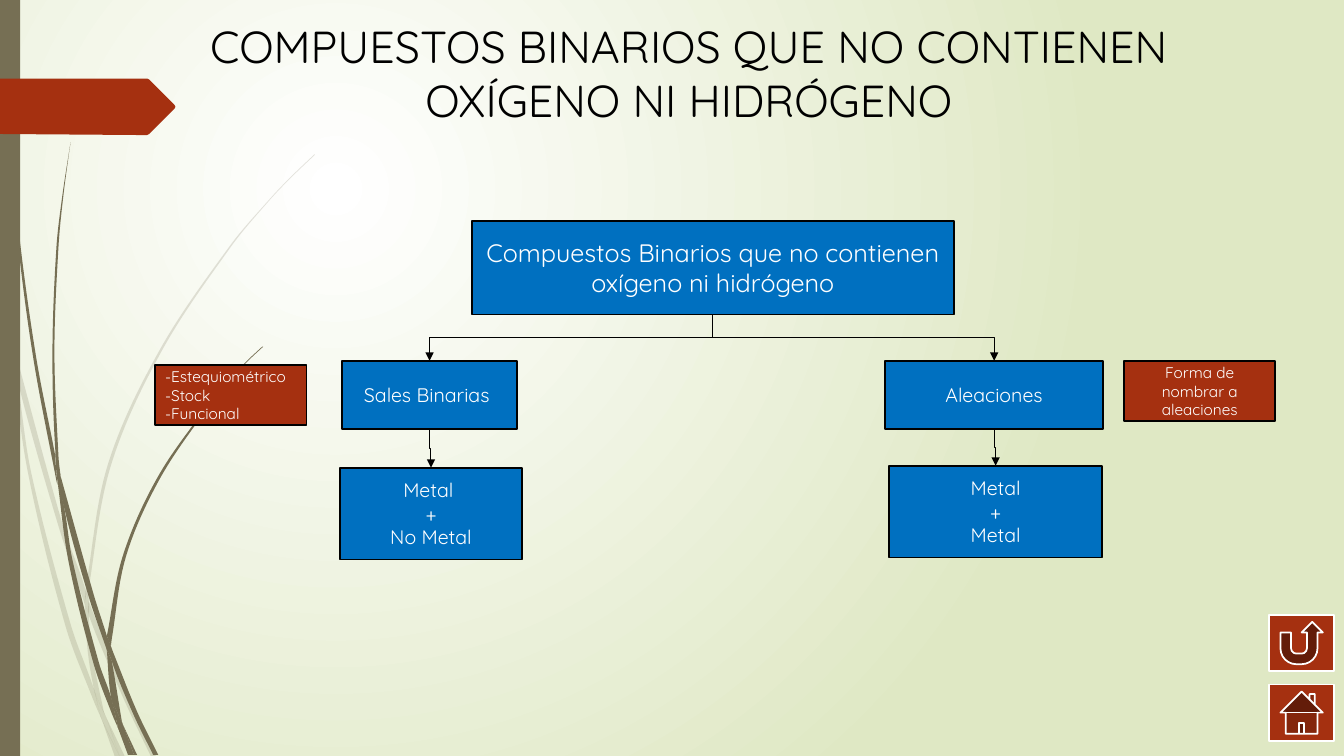
from math import dist

from lxml.etree import SubElement
from pptx import Presentation
from pptx.dml.color import RGBColor
from pptx.enum.shapes import MSO_CONNECTOR as Connector, MSO_SHAPE as Shape
from pptx.enum.text import MSO_ANCHOR as Anchor, MSO_AUTO_SIZE as AutoSize, PP_ALIGN as Align
from pptx.oxml.ns import qn
from pptx.util import Emu, Pt

# Content: boxes as (left, top, width, height), in px of 1/100 inch
SLIDE_SIZE = (1333, 750)
TITLE = "COMPUESTOS BINARIOS QUE NO CONTIENEN OXÍGENO NI HIDRÓGENO"
TITLE_BOX = (154, 14, 1059, 192)

# name: (box, fill, text size, alignment, paragraphs)
BOXES = {
    "root": ((468, 219, 478, 93), "blue", "root", Align.CENTER,
             ["Compuestos Binarios que no contienen oxígeno ni hidrógeno"]),
    "salts": ((339, 358, 174, 68), "blue", "node", Align.CENTER, ["Sales Binarias "]),
    "alloys": ((878, 358, 216, 68), "blue", "node", Align.CENTER, ["Aleaciones"]),
    "salt parts": ((337, 464, 181, 91), "blue", "node", Align.CENTER,
                   ["Metal ", "+", "No Metal"]),
    "alloy parts": ((882, 462, 211, 91), "blue", "node", Align.CENTER,
                    ["Metal", "+", "Metal"]),
    "salt names": ((154, 362, 150, 60), "red", "note", Align.LEFT,
                   ["-Estequiométrico", "-Stock", "-Funcional"]),
    "alloy names": ((1115, 358, 150, 60), "red", "note", Align.CENTER,
                    ["Forma de nombrar a aleaciones"]),
}
LINKS = [("root", "alloys"), ("root", "salts"),
         ("salts", "salt parts"), ("alloys", "alloy parts")]
BUTTONS = [(Shape.ACTION_BUTTON_HOME, (1259, 679, 64, 56)),
           (Shape.ACTION_BUTTON_RETURN, (1259, 610, 64, 56))]
SIDE_BAR = (0, 0, 20, 750)
TAG = [(173, 108), (148, 133), (146, 134), (136, 134), (0, 133), (0, 78), (136, 78),
       (146, 78), (148, 79), (173, 104), (174, 106)]

# Outlines of the grass pieces, as the nodes of closed curves
PALE_GRASS = [
    [(11, 350), (9, 322), (0, 282), (0, 299), (10, 344)],
    [(58, 522), (84, 599), (85, 586), (62, 520), (14, 345), (17, 376)],
    [(92, 607), (88, 596), (88, 610), (123, 694), (150, 751), (155, 751), (127, 692)],
    [(119, 751), (124, 751), (105, 711)],
    [(93, 683), (70, 619), (31, 469), (17, 376), (11, 350), (28, 470), (65, 621),
     (92, 693), (101, 714), (99, 707)],
    [(84, 599), (87, 646), (93, 683), (96, 692), (105, 711), (103, 706), (91, 646),
     (88, 610), (88, 608)],
    [(88, 584), (110, 462), (160, 349), (229, 245), (268, 198), (290, 175), (312, 154),
     (312, 153), (289, 175), (268, 197), (228, 244), (158, 348), (107, 461), (85, 584),
     (85, 586), (88, 596)],
    [(101, 714), (114, 751), (119, 751)],
    [(88, 608), (88, 610), (88, 596), (85, 586), (84, 599)],
    [(96, 692), (93, 683), (99, 707), (101, 714), (119, 751), (105, 711)],
]
DARK_GRASS = [
    [(7, 110), (17, 233), (33, 355), (56, 477), (57, 481), (55, 457), (55, 453),
     (36, 355), (19, 232), (8, 109), (5, 48), (4, 0), (3, 0), (4, 48)],
    [(88, 592), (106, 645), (106, 633), (106, 631), (93, 590), (60, 472), (64, 505)],
    [(113, 649), (110, 641), (111, 656), (132, 708), (152, 749), (157, 749), (136, 706)],
    [(110, 691), (98, 657), (72, 556), (64, 505), (57, 477), (68, 557), (93, 659),
     (111, 708), (117, 722), (116, 717)],
    [(60, 472), (58, 453), (54, 349), (58, 245), (63, 193), (70, 141), (62, 193),
     (56, 245), (52, 349), (55, 449)],
    [(133, 749), (136, 749), (122, 719)],
    [(57, 477), (64, 505), (60, 472), (55, 449), (55, 453)],
    [(111, 633), (125, 552), (158, 476), (205, 406), (231, 374), (245, 359), (261, 344),
     (260, 344), (245, 358), (231, 373), (204, 405), (156, 474), (122, 551), (106, 631),
     (110, 641)],
    [(117, 722), (127, 749), (131, 749)],
    [(106, 645), (110, 691), (116, 706), (122, 719), (121, 716), (111, 656), (109, 651)],
    [(106, 645), (109, 651), (111, 656), (110, 641), (106, 631), (106, 633)],
    [(116, 706), (110, 691), (116, 717), (117, 722), (130, 749), (133, 749), (122, 719)],
]


class Theme:
    font = "Quicksand"
    colors = {"blue": "0070C0", "red": "A53010", "grass": "766F54", "black": "000000",
              "white": "FFFFFF", "green": "DFE8C4"}
    sizes = {"title": 32, "root": 18, "node": 14, "note": 11}
    outline, link = Pt(1.25), Pt(0.75)
    pale_alpha = 20000


def px(value):
    return Emu(round(value * 9144))


def color(name):
    return RGBColor.from_string(Theme.colors[name])


def paint(shape, fill, line=None):
    shape.shadow.inherit = False
    shape.fill.solid()
    shape.fill.fore_color.rgb = color(fill)
    if line:
        shape.line.color.rgb = color(line)
        shape.line.width = Theme.outline
    else:
        shape.line.fill.background()


def add_box(slide, kind, box, fill, line=None):
    shape = slide.shapes.add_shape(kind, *map(px, box))
    paint(shape, fill, line)


def write(frame, paragraphs, size, text_color, align, anchor):
    frame.word_wrap = True
    frame.auto_size = AutoSize.NONE
    frame.vertical_anchor = anchor
    for index, text in enumerate(paragraphs):
        paragraph = frame.add_paragraph() if index else frame.paragraphs[0]
        paragraph.alignment = align
        run = paragraph.add_run()
        run.text = text
        run.font.name = Theme.font
        run.font.size = Pt(Theme.sizes[size])
        run.font.color.rgb = color(text_color)


def add_outline(shapes, points, fill):
    outline = [(px(x), px(y)) for x, y in points]
    builder = shapes.build_freeform(*outline[0], scale=1.0)
    builder.add_line_segments(outline[1:], close=True)
    shape = builder.convert_to_shape()
    paint(shape, fill)
    return shape


def direction(start, end):
    length = dist(start, end)
    return (end[0] - start[0]) / length, (end[1] - start[1]) / length


def handle(before, node, after, toward):
    """Control point a third of the way to toward; sharp corners stay sharp."""
    (ax, ay), (bx, by) = direction(before, node), direction(node, after)
    if ax * bx + ay * by > 0.9:
        ux, uy = direction(before, after)
    else:
        ux, uy = (bx, by) if toward == after else (ax, ay)
    reach = dist(node, toward) / 3 * (1 if toward == after else -1)
    return node[0] + ux * reach, node[1] + uy * reach


def add_grass(slide, pieces, alpha=None):
    group = slide.shapes.add_group_shape()
    for nodes in pieces:
        count = len(nodes)
        points = [nodes[0]]
        for i in range(count):
            before, start, end, after = (nodes[(i + k) % count] for k in (-1, 0, 1, 2))
            points += [handle(before, start, end, end), handle(start, end, after, start), end]
        piece = add_outline(group.shapes, points, "grass")
        # Each three line ends become one curve
        lines = list(piece._element.iter(qn("a:lnTo")))
        for first, second, third in zip(lines[::3], lines[1::3], lines[2::3]):
            first.tag = qn("a:cubicBezTo")
            for line in (second, third):
                first.append(line[0])
                line.getparent().remove(line)
        if alpha:
            fill_color = piece._element.spPr.find(qn("a:solidFill"))[0]
            SubElement(fill_color, qn("a:alpha")).set("val", str(alpha))


def add_link(slide, upper, lower):
    """Vertical elbow arrow: a horizontal elbow turned by a quarter."""
    x0, y0 = upper[0] + upper[2] / 2, upper[1] + upper[3]
    x1, y1 = lower[0] + lower[2] / 2, lower[1]
    middle_x, middle_y = (x0 + x1) / 2, (y0 + y1) / 2
    half_width, half_height = (y1 - y0) / 2, abs(x1 - x0) / 2
    side = 1 if x1 > x0 else -1
    link = slide.shapes.add_connector(
        Connector.ELBOW, px(middle_x + side * half_width), px(middle_y - half_height),
        px(middle_x - side * half_width), px(middle_y + half_height))
    link.line.color.rgb = color("black")
    link.line.width = Theme.link
    properties = link._element.spPr
    properties.find(qn("a:xfrm")).set("rot", "16200000" if side > 0 else "5400000")
    SubElement(properties.find(qn("a:ln")), qn("a:tailEnd")).set("type", "triangle")
    SubElement(properties, qn("a:effectLst"))


def fill_background(slide):
    fill = slide.background.fill
    fill.gradient()
    for stop, position, name in zip(fill.gradient_stops, (0, 1), ("white", "green")):
        stop.position = position
        stop.color.rgb = color(name)
    gradient = slide.element.find(".//" + qn("a:gradFill"))
    gradient.remove(gradient.find(qn("a:lin")))
    circle = SubElement(gradient, qn("a:path"), {"path": "circle"})
    SubElement(circle, qn("a:fillToRect"), dict(l="50000", t="50000", r="100000", b="100000"))


def main():
    presentation = Presentation()
    presentation.slide_width, presentation.slide_height = map(px, SLIDE_SIZE)
    slide = presentation.slides.add_slide(presentation.slide_layouts[5])
    # Background and side decoration
    fill_background(slide)
    add_grass(slide, PALE_GRASS, Theme.pale_alpha)
    add_grass(slide, DARK_GRASS)
    add_box(slide, Shape.RECTANGLE, SIDE_BAR, "grass")
    add_outline(slide.shapes, TAG, "red")
    # Title
    title = slide.shapes.title
    title.left, title.top, title.width, title.height = map(px, TITLE_BOX)
    write(title.text_frame, [TITLE], "title", "black", Align.CENTER, Anchor.TOP)
    # Tree of compounds
    for box, fill, size, align, paragraphs in BOXES.values():
        add_box(slide, Shape.RECTANGLE, box, fill, "black")
        write(slide.shapes[-1].text_frame, paragraphs, size, "white", align, Anchor.MIDDLE)
    for upper, lower in LINKS:
        add_link(slide, BOXES[upper][0], BOXES[lower][0])
    # Navigation buttons
    for kind, box in BUTTONS:
        add_box(slide, kind, box, "red", "white")
    presentation.save("out.pptx")


if __name__ == "__main__":
    main()
